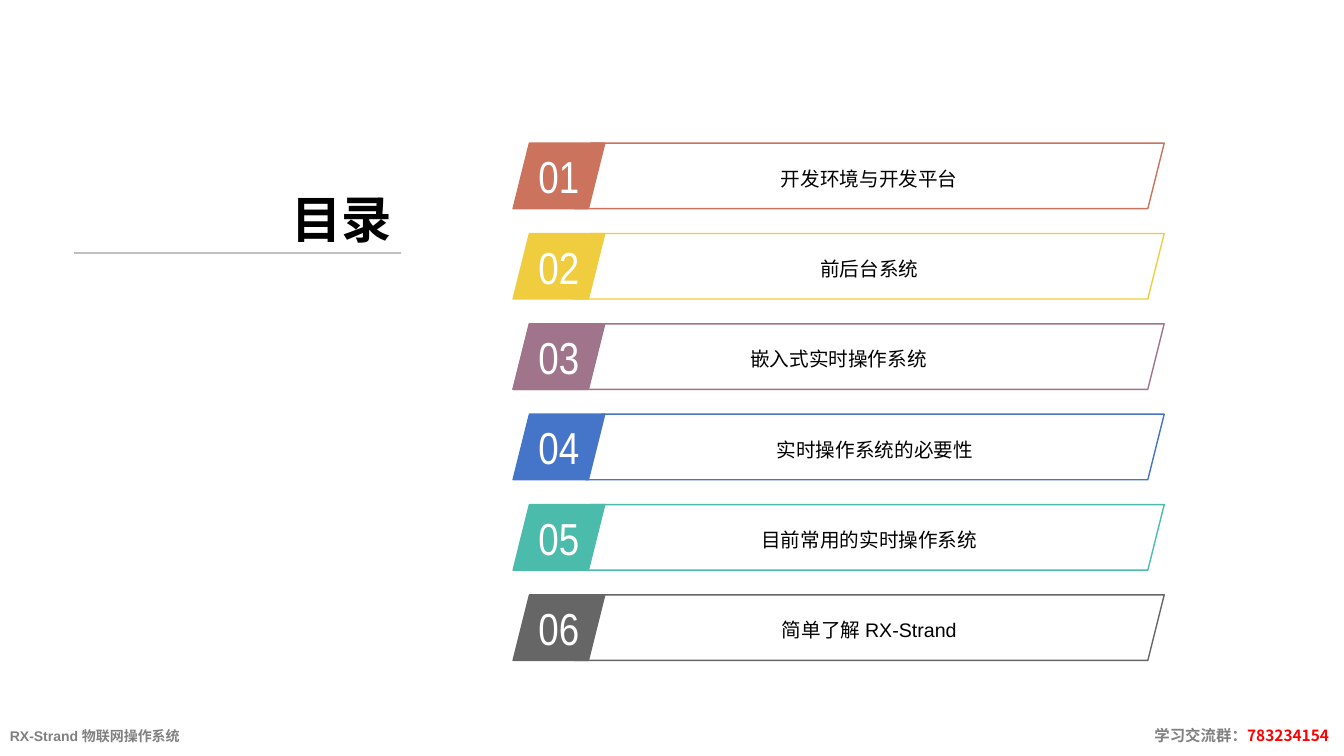
"""Build the contents slide: a title on the left and six numbered bars on the right."""
from dataclasses import dataclass

from lxml import etree
from pptx import Presentation
from pptx import util as u
from pptx.dml import color
from pptx.enum import shapes, text
from pptx.oxml import ns

TAG_LEFT, TAG_WIDTH = 366.5, 65.5
BAR_RIGHT = 831.6
TOP, PITCH, HEIGHT = 102.2, 64.55, 46.8
FOOTER_TOP, FOOTER_HEIGHT = 511.2, 28.8


@dataclass
class Topic:
    label: str
    hex_color: str
    bar_left: float = 410.4


@dataclass
class Style:
    size: float
    hex_color: str
    font: str = "Arial"
    bold: bool = False


TOPICS = [
    Topic("开发环境与开发平台", "CC735E"),
    Topic("前后台系统", "EFCD3F"),
    Topic("嵌入式实时操作系统", "A0758C", TAG_LEFT),
    Topic("实时操作系统的必要性", "4575C9", 418.3),
    Topic("目前常用的实时操作系统", "4BBCAC"),
    Topic("简单了解 RX-Strand", "666666"),
]


def rgb(hex_color: str) -> color.RGBColor:
    return color.RGBColor.from_string(hex_color)


def style_run(r, style: Style) -> None:
    r.font.size = u.Pt(style.size)
    r.font.name = style.font
    r.font.bold = style.bold
    r.font.color.rgb = rgb(style.hex_color)


def set_text(sp, parts: list[tuple[str, Style]], align, anchor, wrap: bool):
    tf = sp.text_frame
    tf.word_wrap = wrap
    tf.vertical_anchor = anchor
    p = tf.paragraphs[0]
    p.alignment = align
    for words, style in parts:
        r = p.add_run()
        r.text = words
        style_run(r, style)
    return p


def add_parallelogram(s, left: float, top: float, width: float, hex_color: str, filled: bool):
    sp = s.shapes.add_shape(shapes.MSO_SHAPE.PARALLELOGRAM,
                            u.Pt(left), u.Pt(top), u.Pt(width), u.Pt(HEIGHT))
    sp.shadow.inherit = False
    if filled:
        sp.fill.solid()
        sp.fill.fore_color.rgb = rgb(hex_color)
    else:
        sp.fill.background()
    sp.line.color.rgb = rgb(hex_color)
    sp.line.width = u.Pt(1)
    return sp


def add_topic(s, index: int, topic: Topic) -> None:
    top = TOP + index * PITCH
    tag = add_parallelogram(s, TAG_LEFT, top, TAG_WIDTH, topic.hex_color, True)
    set_text(tag, [(f"{index + 1:02d}", Style(32, "FFFFFF", "Arial Narrow"))],
             text.PP_ALIGN.CENTER, text.MSO_ANCHOR.MIDDLE, False)
    bar = add_parallelogram(s, topic.bar_left, top, BAR_RIGHT - topic.bar_left,
                            topic.hex_color, False)
    p = set_text(bar, [(topic.label, Style(14, "000000"))],
                 text.PP_ALIGN.CENTER, text.MSO_ANCHOR.MIDDLE, True)
    p.line_spacing = 1.2


def add_title(s) -> None:
    title = s.shapes.title
    title.left, title.top, title.width, title.height = map(u.Pt, (115.2, 102.2, 172.1, 79.2))
    set_text(title, [("目录", Style(36, "000000", bold=True))],
             text.PP_ALIGN.RIGHT, text.MSO_ANCHOR.BOTTOM, False)
    rule = s.shapes.add_connector(shapes.MSO_CONNECTOR.STRAIGHT,
                                  u.Pt(52.6), u.Pt(180.7), u.Pt(286.6), u.Pt(180.7))
    rule.line.color.rgb = rgb("BFBFBF")
    rule.line.width = u.Pt(1.5)
    etree.SubElement(rule.element.spPr, ns.qn("a:effectLst"))


def add_footer(s, left: float, width: float, parts: list[tuple[str, Style]], align) -> None:
    box = s.shapes.add_textbox(u.Pt(left), u.Pt(FOOTER_TOP), u.Pt(width), u.Pt(FOOTER_HEIGHT))
    set_text(box, parts, align, text.MSO_ANCHOR.MIDDLE, True)


def main() -> None:
    prs = Presentation()
    prs.slide_width, prs.slide_height = u.Pt(960), u.Pt(540)
    s = prs.slides.add_slide(prs.slide_layouts[5])
    for index, topic in enumerate(TOPICS):
        add_topic(s, index, topic)
    add_title(s)
    add_footer(s, 0, 480, [("RX-Strand 物联网操作系统", Style(10, "808080", bold=True))],
               text.PP_ALIGN.LEFT)
    add_footer(s, 480, 476.5, [("学习交流群：", Style(11, "808080", bold=True)),
                               ("783234154", Style(11, "FF0000", "Noto Sans CJK KR", True))],
               text.PP_ALIGN.RIGHT)
    prs.save("out.pptx")


if __name__ == "__main__":
    main()
